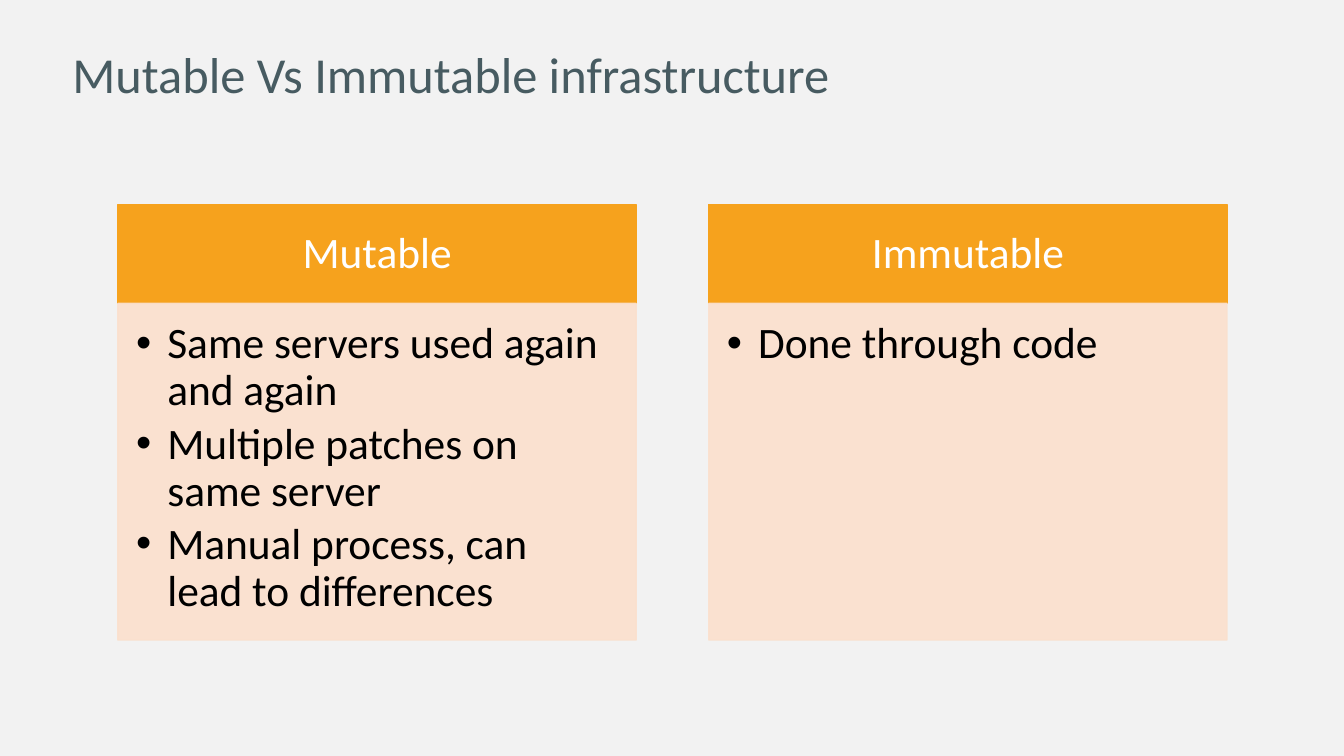
from pptx import Presentation
from pptx.dml.color import RGBColor
from pptx.enum.shapes import MSO_SHAPE
from pptx.enum.text import MSO_ANCHOR, PP_ALIGN
from pptx.oxml.ns import qn
from pptx.util import Inches, Pt
from lxml import etree

RECTANGLE = MSO_SHAPE.RECTANGLE
TOP, MIDDLE = MSO_ANCHOR.TOP, MSO_ANCHOR.MIDDLE
LEFT, CENTER = PP_ALIGN.LEFT, PP_ALIGN.CENTER

PAPER = RGBColor(0xF2, 0xF2, 0xF2)
ORANGE = RGBColor(0xF6, 0xA2, 0x1D)
PEACH = RGBColor(0xFB, 0xE0, 0xCD)
SLATE = RGBColor(0x47, 0x5B, 0x61)
WHITE = RGBColor(0xFF, 0xFF, 0xFF)
BLACK = RGBColor(0, 0, 0)

FONT = "Calibri"
TITLE_SIZE, CARD_SIZE = 36, 31
SLIDE_WIDTH, SLIDE_HEIGHT = 13.33, 7.5
CARD_LEFT, CARD_TOP = 1.17, 2.03
CARD_WIDTH, CARD_HEIGHT, CARD_GAP = 5.14, 4.32, 0.72
HEADER_HEIGHT = 0.98
BULLET_INDENT = 0.31

CARDS = [
    ("Mutable", [
        "Same servers used again and again",
        "Multiple patches on same server",
        "Manual process, can lead to differences",
    ]),
    ("Immutable", ["Done through code"]),
]


def write_text(frame, lines, size, color, align=LEFT):
    frame.word_wrap = True
    frame.text = "\n".join(lines)
    for para in frame.paragraphs:
        para.alignment = align
        for span in para.runs:
            span.font.name = FONT
            span.font.size = Pt(size)
            span.font.color.rgb = color


def set_insets(frame, left, top, right, bottom):
    frame.margin_left, frame.margin_top = Inches(left), Inches(top)
    frame.margin_right, frame.margin_bottom = Inches(right), Inches(bottom)


def add_bullet(para):
    properties = para._p.get_or_add_pPr()
    properties.set("marL", str(Inches(BULLET_INDENT)))
    properties.set("indent", str(-Inches(BULLET_INDENT)))
    etree.SubElement(properties, qn("a:buFont")).set("typeface", "Arial")
    etree.SubElement(properties, qn("a:buChar")).set("char", "•")


def add_panel(page, box, color, opacity=100):
    panel = page.shapes.add_shape(RECTANGLE, *map(Inches, box))
    panel.shadow.inherit = False
    panel.fill.solid()
    panel.fill.fore_color.rgb = color
    panel.line.color.rgb = color
    panel.line.width = Pt(1)
    if opacity < 100:
        for tone in panel._element.spPr.iter(qn("a:srgbClr")):
            etree.SubElement(tone, qn("a:alpha")).set("val", str(opacity * 1000))
    return panel


def add_title(page, box, text):
    frame = page.shapes.add_textbox(*map(Inches, box)).text_frame
    write_text(frame, [text], TITLE_SIZE, SLATE)


def add_card(page, box, heading, points):
    """Place an orange heading bar above a peach panel of bullet points."""
    left, top, width, height = box
    header = add_panel(page, (left, top, width, HEADER_HEIGHT), ORANGE)
    frame = header.text_frame
    frame.vertical_anchor = MIDDLE
    set_insets(frame, 0.24, 0.14, 0.24, 0.14)
    write_text(frame, [heading], CARD_SIZE, WHITE, CENTER)
    frame.paragraphs[0].line_spacing = 0.9

    body_box = (left, top + HEADER_HEIGHT, width, height - HEADER_HEIGHT)
    frame = add_panel(page, body_box, PEACH, opacity=90).text_frame
    frame.vertical_anchor = TOP
    set_insets(frame, 0.18, 0.18, 0.24, 0.27)
    write_text(frame, points, CARD_SIZE, BLACK)
    for para in frame.paragraphs:
        para.line_spacing = 0.9
        para.space_after = Pt(4.5)
        add_bullet(para)


def main():
    deck = Presentation()
    deck.slide_width, deck.slide_height = Inches(SLIDE_WIDTH), Inches(SLIDE_HEIGHT)
    page = deck.slides.add_slide(deck.slide_layouts[6])
    page.background.fill.solid()
    page.background.fill.fore_color.rgb = PAPER

    for column, (heading, points) in enumerate(CARDS):
        left = CARD_LEFT + column * (CARD_WIDTH + CARD_GAP)
        add_card(page, (left, CARD_TOP, CARD_WIDTH, CARD_HEIGHT), heading, points)
    add_title(page, (0.62, 0.38, 8.25, 0.73), "Mutable Vs Immutable infrastructure")
    deck.save("out.pptx")


if __name__ == "__main__":
    main()
